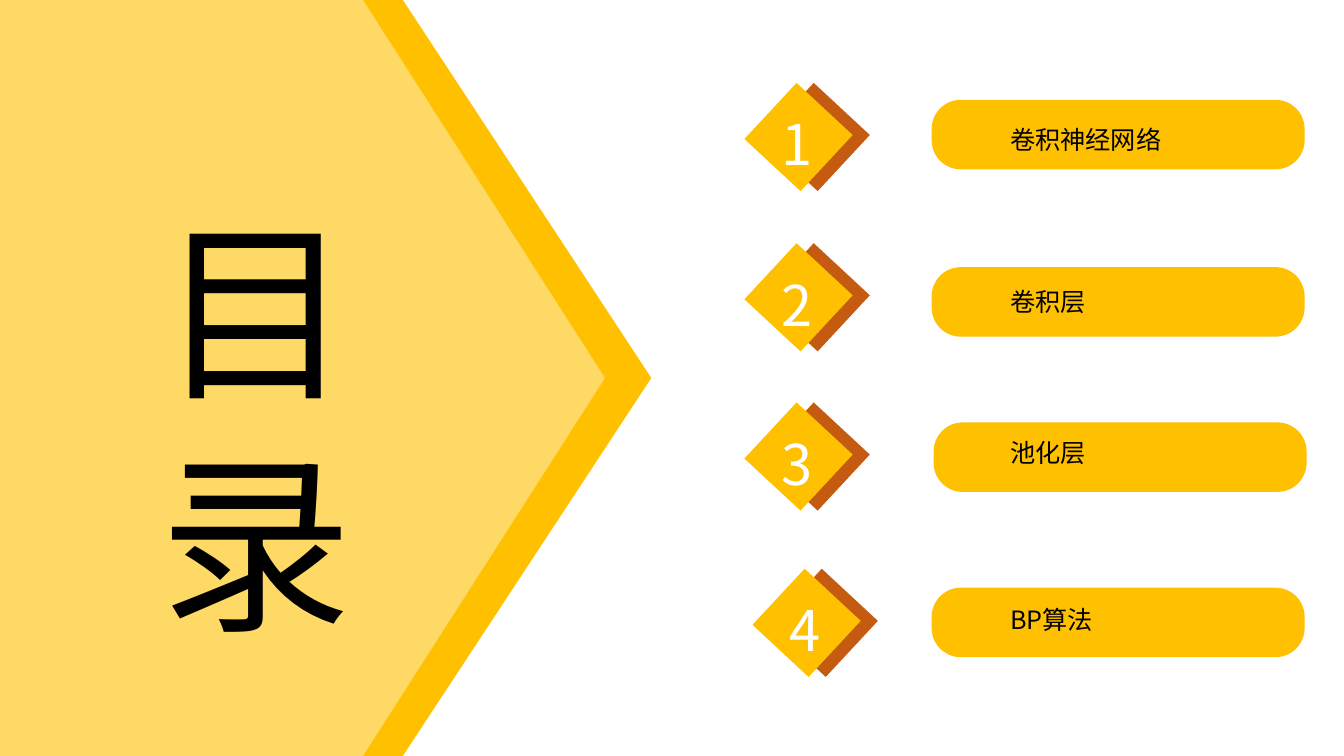
import pptx
import pptx.dml.color
import pptx.enum.shapes
import pptx.enum.text
import pptx.oxml.ns
import pptx.util
from dataclasses import dataclass
from lxml import etree

SHAPE = pptx.enum.shapes.MSO_SHAPE
PX = 9144  # 100 px to the inch


def px(n):
    return pptx.util.Emu(n * PX)


@dataclass(frozen=True)
class Theme:
    gold: str = "FFC000"
    pale: str = "FFD966"
    rust: str = "C55A11"
    black: str = "000000"
    white: str = "FFFFFF"
    display_font: str = "Noto Sans CJK JP"
    label_font: str = "Noto Sans CJK SC"
    title_size: int = 138
    number_size: int = 40
    label_size: int = 18


class Deck:
    def __init__(self, theme):
        self.theme = theme
        self.prs = pptx.Presentation()
        self.prs.slide_width, self.prs.slide_height = px(1333), px(750)
        self.s = self.prs.slides.add_slide(self.prs.slide_layouts[5])

    def shape(self, kind, x, y, w, h, color, adj=(), rotation=0):
        sp = self.s.shapes.add_shape(kind, px(x), px(y), px(w), px(h))
        sp.shadow.inherit = False
        sp.fill.solid()
        sp.fill.fore_color.rgb = pptx.dml.color.RGBColor.from_string(color)
        sp.line.fill.background()
        sp.rotation = rotation
        for i, value in enumerate(adj):
            sp.adjustments[i] = value

    def fill_text(self, sp, text, size, font, color):
        """Set one left-aligned paragraph with lines 1.2 times the type size."""
        tf = sp.text_frame
        tf.word_wrap = True
        tf.auto_size = pptx.enum.text.MSO_AUTO_SIZE.NONE
        tf.vertical_anchor = pptx.enum.text.MSO_ANCHOR.TOP
        tf.margin_left, tf.margin_right, tf.margin_bottom = px(10), 0, 0
        tf.margin_top = px(5) + pptx.util.Pt(0.09 * size)
        p = tf.paragraphs[0]
        p.alignment = pptx.enum.text.PP_ALIGN.LEFT
        p.line_spacing = pptx.util.Pt(1.2 * size)
        r = p.add_run()
        r.text = text
        r.font.size = pptx.util.Pt(size)
        r.font.name = font
        r.font.color.rgb = pptx.dml.color.RGBColor.from_string(color)
        ea = etree.SubElement(r.font._element, pptx.oxml.ns.qn("a:ea"))
        ea.set("typeface", font)

    def text(self, x, y, w, h, *style):
        self.fill_text(self.s.shapes.add_textbox(px(x), px(y), px(w), px(h)), *style)

    def title(self, x, y, w, h, *style):
        """Place the title above the shapes drawn so far."""
        sp = self.s.shapes.title
        sp.left, sp.top, sp.width, sp.height = px(x), px(y), px(w), px(h)
        self.s.shapes._spTree.append(sp._element)
        self.fill_text(sp, *style)

    def number(self, x, y, text):
        t = self.theme
        for dx, color in ((17, t.rust), (0, t.gold)):
            self.shape(SHAPE.RECTANGLE, x + dx, y, 76, 76, color, rotation=42.9)
        self.text(x + 11, y + 1, 70, 77, text, t.number_size, t.display_font, t.white)

    def label(self, x, y, text_y, text):
        t = self.theme
        self.shape(SHAPE.ROUNDED_RECTANGLE, x, y, 370, 69, t.gold, adj=(0.42,))
        self.text(992, text_y, 302, 40, text, t.label_size, t.label_font, t.black)


# label, diamond x and y, pill x and y, label y
ROWS = [
    ("卷积神经网络", 754, 98, 924, 99, 116),
    ("卷积层", 754, 257, 924, 265, 277),
    ("池化层", 754, 415, 926, 419, 427),
    ("BP算法", 762, 580, 924, 583, 592),
]


def main():
    t = Theme()
    deck = Deck(t)
    for x, w, color in ((30, 616, t.gold), (0, 600, t.pale)):
        deck.shape(SHAPE.RIGHT_ARROW, x, 0, w, 750, color, adj=(1, 0.4))
    deck.title(148, 168, 19, 475, "目录", t.title_size, t.display_font, t.black)
    for i, (text, diamond_x, diamond_y, pill_x, pill_y, text_y) in enumerate(ROWS, 1):
        deck.number(diamond_x, diamond_y, str(i))
        deck.label(pill_x, pill_y, text_y, text)
    deck.prs.save("out.pptx")


if __name__ == "__main__":
    main()
